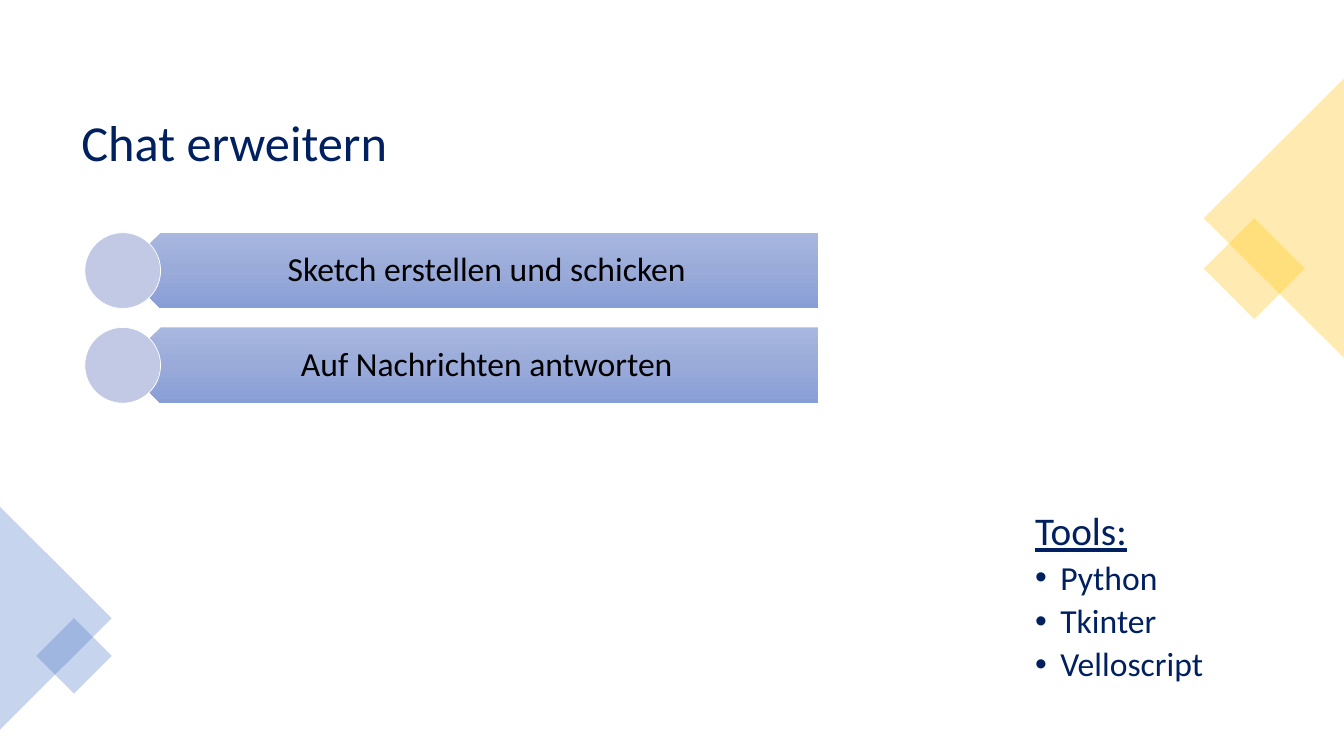
from collections import namedtuple
from math import sqrt

from lxml.etree import SubElement
from pptx import Presentation
from pptx.dml.color import RGBColor
from pptx.enum.shapes import MSO_SHAPE
from pptx.enum.text import MSO_ANCHOR, PP_ALIGN
from pptx.oxml import parse_xml
from pptx.oxml.ns import nsdecls, qn
from pptx.util import Inches, Pt

COLOURS = {
    "navy": "002060", "black": "000000", "white": "FFFFFF",
    "disc": "C1C9E4", "yellow": "FFC000", "blue": "4472C4",
    "bar_top": "A8B7DF", "bar_middle": "9AABD9", "bar_bottom": "889ED7",
}
COLUMNS, ROWS = 32, 18
CELL = Inches(13.33) / COLUMNS  # square grid cell

Box = namedtuple("Box", "left top width height")  # in grid cells


def emu(box):
    """Turn a box of grid cells into slide lengths."""
    return [round(length * CELL) for length in box]


def rgb(name):
    """Look up a named colour."""
    return RGBColor.from_string(COLOURS[name])


def add_plain_shape(shapes, preset, box, colour=None, rotation=0, alpha=None):
    """Add a shape without shadow or outline, optionally see-through."""
    shape = shapes.add_shape(preset, *emu(box))
    shape.shadow.inherit = False
    shape.rotation = rotation
    shape.line.fill.background()
    if colour:
        shape.fill.solid()
        shape.fill.fore_color.rgb = rgb(colour)
    if alpha:
        tint = shape.fill._xPr.find(".//" + qn("a:srgbClr"))
        SubElement(tint, qn("a:alpha")).set("val", str(alpha * 1000))
    return shape


def add_text_frame(shapes, box, anchor=MSO_ANCHOR.TOP, left=0.1, right=0.1):
    """Add a wrapping text box and return its frame."""
    frame = shapes.add_textbox(*emu(box)).text_frame
    frame.word_wrap = True
    frame.vertical_anchor = anchor
    frame.margin_left, frame.margin_right = Inches(left), Inches(right)
    frame.margin_top = frame.margin_bottom = Inches(0.05)
    return frame


def write(paragraph, text, size=24, colour="navy", underline=None,
          align=PP_ALIGN.LEFT, before=0, margin=0, bullet=False):
    """Write one formatted paragraph."""
    paragraph.alignment = align
    paragraph.line_spacing = 0.9
    paragraph.space_before = Pt(before)
    run = paragraph.add_run()
    run.text = text
    run.font.name = "Calibri"
    run.font.size = Pt(size)
    run.font.color.rgb = rgb(colour)
    run.font.underline = underline
    properties = paragraph._p.get_or_add_pPr()
    properties.set("marL", str(Inches(margin)))
    properties.set("indent", str(Inches(-0.25) if bullet else 0))
    if bullet:
        SubElement(properties, qn("a:buFont")).set("typeface", "Arial")
        SubElement(properties, qn("a:buChar")).set("char", "•")


def shade_bar(bar):
    """Give a bar its vertical gradient, independent of its rotation."""
    names = ("bar_top", "bar_middle", "bar_bottom")
    stops = "".join(
        f'<a:gs pos="{i * 50000}"><a:srgbClr val="{COLOURS[name]}"/></a:gs>'
        for i, name in enumerate(names))
    bar.fill.background()
    blank = bar.fill._xPr.find(qn("a:noFill"))
    blank.getparent().replace(blank, parse_xml(
        f'<a:gradFill {nsdecls("a")} rotWithShape="0"><a:gsLst>{stops}</a:gsLst>'
        '<a:lin ang="5400000" scaled="0"/></a:gradFill>'))


def add_title(slide, box, title):
    """Place the slide title."""
    frame = add_text_frame(slide.shapes, box, MSO_ANCHOR.MIDDLE)
    write(frame.paragraphs[0], title, size=36)


def add_features(slide, box, features):
    """Stack one disc and bar per feature with a quarter-disc gap."""
    shapes = slide.shapes.add_group_shape().shapes
    disc_size = box.height / (len(features) * 1.25 - 0.25)
    for i, feature in enumerate(features):
        top = box.top + i * disc_size * 1.25

        def row_part(start):
            return Box(box.left + start * disc_size, top,
                       box.width - start * disc_size, disc_size)

        shade_bar(add_plain_shape(shapes, MSO_SHAPE.PENTAGON, row_part(0.5),
                                  rotation=180))
        frame = add_text_frame(shapes, row_part(0.75), MSO_ANCHOR.MIDDLE,
                               left=0.33, right=0.19)
        write(frame.paragraphs[0], feature, colour="black",
              align=PP_ALIGN.CENTER)
        disc = add_plain_shape(shapes, MSO_SHAPE.OVAL,
                               Box(box.left, top, disc_size, disc_size), "disc")
        disc.line.color.rgb = rgb("white")
        disc.line.width = Pt(0.5)


def add_edge_ornament(slide, box, diamond_side, colour, points_left):
    """Fill the box with a sideways triangle; hang a diamond at its tip."""
    middle_x = box.left + box.width / 2
    middle_y = box.top + box.height / 2
    upright = Box(middle_x - box.height / 2, middle_y - box.width / 2,
                  box.height, box.width)
    add_plain_shape(slide.shapes, MSO_SHAPE.ISOSCELES_TRIANGLE, upright, colour,
                    rotation=270 if points_left else 90, alpha=30)
    reach = diamond_side / sqrt(2)
    centre_x = box.left + reach if points_left else box.left + box.width - reach
    diamond = Box(centre_x - diamond_side / 2,
                  middle_y + reach - diamond_side / 2,
                  diamond_side, diamond_side)
    add_plain_shape(slide.shapes, MSO_SHAPE.RECTANGLE, diamond, colour,
                    rotation=45, alpha=30)


def add_tools(slide, box, heading, tools):
    """Place the underlined heading and its bulleted tools."""
    frame = add_text_frame(slide.shapes, box)
    write(frame.paragraphs[0], heading, size=28, underline=True, before=5,
          margin=0.5)
    for tool in tools:
        write(frame.add_paragraph(), tool, before=5, margin=0.75, bullet=True)


def main():
    """Build and save the slide."""
    deck = Presentation()
    deck.slide_width = round(COLUMNS * CELL)
    deck.slide_height = round(ROWS * CELL)
    slide = deck.slides.add_slide(deck.slide_layouts[6])
    add_title(slide, Box(1.7, 1.97, 28.63, 2.98), "Chat erweitern")
    add_features(slide, Box(2.02, 5.54, 17.45, 4.06),
                 ["Sketch erstellen und schicken", "Auf Nachrichten antworten"])
    add_edge_ornament(slide, Box(28.66, 1.87, 3.34, 6.65), 1.7, "yellow", True)
    add_edge_ornament(slide, Box(0, 12.07, 2.66, 5.3), 1.27, "blue", False)
    add_tools(slide, Box(23.21, 12.07, 12.5, 5.23), "Tools:",
              ["Python", "Tkinter", "Velloscript"])
    deck.save("out.pptx")


main()
